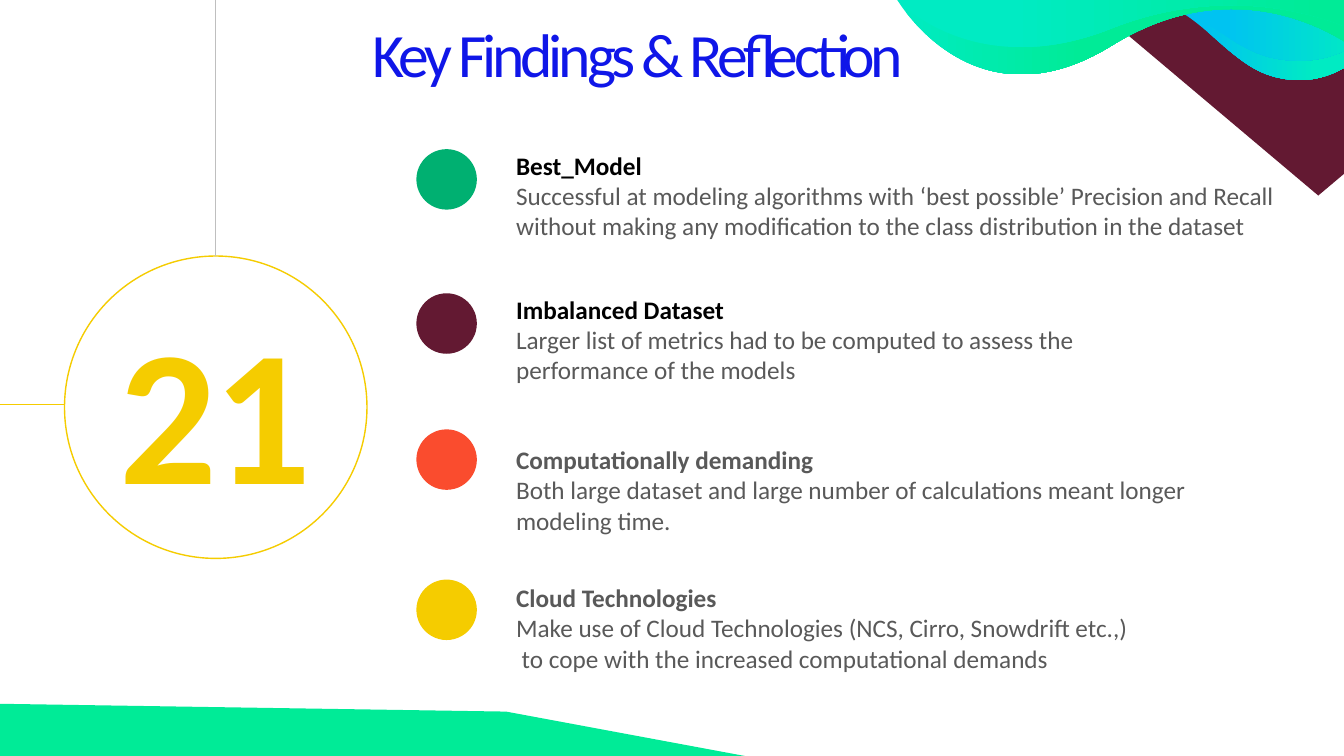
from dataclasses import dataclass

import pptx
import pptx.dml.color
import pptx.enum.shapes
import pptx.enum.text
import pptx.oxml.ns
import pptx.util
from lxml import etree

Inches = pptx.util.Inches
Pt = pptx.util.Pt
qn = pptx.oxml.ns.qn
Shape = pptx.enum.shapes.MSO_SHAPE
Point = tuple[float, float]


@dataclass(frozen=True)
class Theme:
    font: str = "Calibri"
    title: int = 44
    number: int = 138
    body: int = 18
    blue: str = "0F16E8"
    black: str = "000000"
    gray: str = "595959"
    rule: str = "BFBFBF"
    gold: str = "F5CC00"
    plum: str = "631932"
    red: str = "FA4C2E"
    leaf: str = "00B071"
    green: str = "00EB97"
    aqua: str = "00EBC3"
    sky: str = "00C3F1"


@dataclass(frozen=True)
class Finding:
    head: str
    text: str
    color: str
    ink: str
    dot_top: float
    text_top: float
    width: float


@dataclass(frozen=True)
class Wave:
    """Two cubic curves from the first point, closed along the top edge."""
    left: float
    tall: float
    curve: list[Point]
    stops: list[tuple[float, str]]


T = Theme()
DOT_LEFT, DOT = 4.13, 0.6
TEXT_LEFT, TEXT_TALL = 5.02, 1.01
EDGE = 13.49

FINDINGS = [
    Finding("Best_Model",
            "Successful at modeling algorithms with ‘best possible’ Precision and Recall "
            "without making any modification to the class distribution in the dataset",
            T.leaf, T.black, 1.48, 1.44, 8.32),
    Finding("Imbalanced Dataset",
            "Larger list of metrics had to be computed to assess the performance of the models",
            T.plum, T.black, 2.91, 2.87, 6.51),
    Finding("Computationally demanding",
            "Both large dataset and large number of calculations meant longer modeling time.",
            T.red, T.gray, 4.26, 4.36, 6.88),
    Finding("Cloud Technologies",
            "Make use of Cloud Technologies (NCS, Cirro, Snowdrift etc.,)\v"
            " to cope with the increased computational demands",
            T.gold, T.gray, 5.75, 5.73, 6.51),
]

WAVES = [
    Wave(11.32, 0.8, [(EDGE, 0.55), (EDGE, 0.55), (13.15, 0.92), (12.6, 0.75),
                      (12.13, 0.6), (11.84, 0), (11.32, 0)],
         [(0.28, T.sky), (0.8, T.aqua)]),
    Wave(11.32, 0.61, [(EDGE, 0.41), (EDGE, 0.41), (13.15, 0.7), (12.6, 0.57),
                       (12.13, 0.45), (11.84, 0), (11.32, 0)],
         [(0.38, T.sky), (1, T.aqua)]),
    Wave(8.9, 0.74, [(8.9, 0), (8.9, 0), (9.66, 1.3), (11.03, 0.45),
                     (12.4, -0.4), (EDGE, 0.52), (EDGE, 0.52)],
         [(0, T.aqua), (0.4, T.green)]),
    Wave(8.9, 0.47, [(8.9, 0), (8.9, 0), (9.66, 0.83), (11.03, 0.28),
                     (12.4, -0.26), (EDGE, 0.33), (EDGE, 0.33)],
         [(0.24, T.aqua), (0.92, T.green)]),
]


def rgb(color: str) -> pptx.dml.color.RGBColor:
    return pptx.dml.color.RGBColor.from_string(color)


def style(par, size: int, color: str, bold: bool = False, track: int = 0) -> None:
    """Format the runs of a paragraph; track is letter spacing in points."""
    for run in par.runs:
        font = run.font
        font.name, font.size, font.bold = T.font, Pt(size), bold
        font.color.rgb = rgb(color)
        if track:
            run._r.get_or_add_rPr().set("spc", str(track * 100))


def center(frame, text: str, size: int, color: str, bold: bool = False) -> None:
    frame.text = text
    frame.word_wrap = True
    frame.vertical_anchor = pptx.enum.text.MSO_ANCHOR.MIDDLE
    par = frame.paragraphs[0]
    par.alignment = pptx.enum.text.PP_ALIGN.CENTER
    style(par, size, color, bold, -3)


def paint(shape, color: str) -> None:
    shape.shadow.inherit = False
    shape.fill.solid()
    shape.fill.fore_color.rgb = rgb(color)
    shape.line.fill.background()


def outline(shapes, points: list[Point]):
    """Add a closed shape through points given in inches."""
    spots = [(Inches(x), Inches(y)) for x, y in points]
    form = shapes.build_freeform(*spots[0], scale=1.0)
    form.add_line_segments(spots[1:], close=True)
    return form.convert_to_shape()


def add_wave(shapes, wave: Wave) -> None:
    """Frame the wave with a box, then trace the curve inside it."""
    shape = outline(shapes, [(wave.left, 0), (EDGE, 0), (EDGE, wave.tall),
                             (wave.left, wave.tall)])
    trace = next(shape._element.iter(qn("a:path")))
    for step in list(trace):
        trace.remove(step)

    def draw(tag: str, *points: Point) -> None:
        step = etree.SubElement(trace, qn(tag))
        for x, y in points:
            etree.SubElement(step, qn("a:pt"), x=str(Inches(x) - Inches(wave.left)),
                             y=str(Inches(y)))

    draw("a:moveTo", wave.curve[0])
    draw("a:cubicBezTo", *wave.curve[1:4])
    draw("a:cubicBezTo", *wave.curve[4:])
    draw("a:lnTo", (EDGE, 0))
    draw("a:close")

    paint(shape, T.green)
    shape.fill.gradient()
    shape.fill.gradient_angle = 0
    for stop, (place, color) in zip(shape.fill.gradient_stops, wave.stops):
        stop.position = place
        stop.color.rgb = rgb(color)


def add_rule(shapes, start: Point, end: Point, color: str):
    line = shapes.add_connector(pptx.enum.shapes.MSO_CONNECTOR.STRAIGHT,
                                *(Inches(v) for v in start + end))
    line.line.width = Pt(0.5)
    line.line.color.rgb = rgb(color)
    etree.SubElement(line._element.spPr, qn("a:effectLst"))
    return line


def add_finding(shapes, item: Finding) -> None:
    group = shapes.add_group_shape().shapes
    dot = group.add_shape(Shape.OVAL, Inches(DOT_LEFT), Inches(item.dot_top),
                          Inches(DOT), Inches(DOT))
    paint(dot, item.color)
    box = group.add_textbox(Inches(TEXT_LEFT), Inches(item.text_top),
                            Inches(item.width), Inches(TEXT_TALL))
    frame = box.text_frame
    frame.word_wrap = True
    frame.text = item.head
    style(frame.paragraphs[0], T.body, item.ink, bold=True)
    par = frame.add_paragraph()
    par.text = item.text
    style(par, T.body, T.gray)


def add_badge(shapes) -> None:
    ring = shapes.add_shape(Shape.OVAL, Inches(0.64), Inches(2.54), Inches(3), Inches(3))
    ring.shadow.inherit = False
    ring.fill.background()
    ring.line.color.rgb = rgb(T.gold)
    ring.line.width = Pt(1)
    box = shapes.add_textbox(Inches(0.93), Inches(2.83), Inches(2.42), Inches(2.42))
    center(box.text_frame, "21", T.number, T.gold, bold=True)
    drop = add_rule(shapes, (2.14, 0), (2.14, 2.54), T.rule)
    drop.end_connect(ring, 0)
    add_rule(shapes, (0.64, 4.01), (-1.61, 4.01), T.gold)


def main() -> None:
    deck = pptx.Presentation()
    deck.slide_width, deck.slide_height = Inches(13.33), Inches(7.5)
    slide = deck.slides.add_slide(deck.slide_layouts.get_by_name("Title Only"))
    shapes = slide.shapes
    title = shapes.title
    title.left, title.top = Inches(1.7), Inches(0.1)
    title.width, title.height = Inches(9.25), Inches(0.84)
    center(title.text_frame, "Key Findings & Reflection", T.title, T.blue)
    add_badge(shapes)
    hill = outline(shapes, [(-0.15, 7.51), (-0.16, 6.98), (5.02, 7.06), (7.44, 7.51)])
    paint(hill, T.green)
    for item in FINDINGS:
        add_finding(shapes, item)
    gem = shapes.add_shape(Shape.DIAMOND, Inches(10.43), Inches(-2.52),
                           Inches(5.29), Inches(4.46))
    paint(gem, T.plum)
    group = shapes.add_group_shape().shapes
    for wave in WAVES:
        add_wave(group, wave)
    deck.save("out.pptx")


if __name__ == "__main__":
    main()
